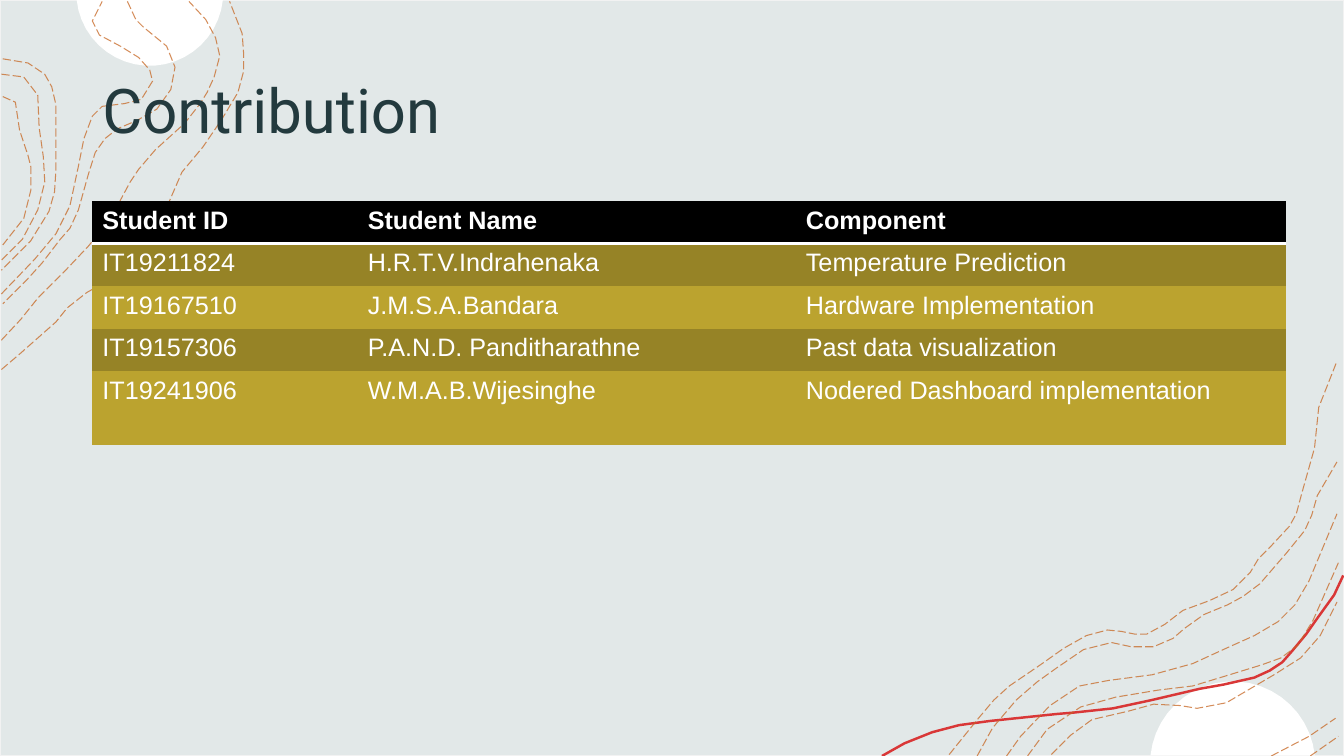
import math

import lxml.etree
import pptx
import pptx.dml.color
import pptx.enum.dml
import pptx.enum.shapes
import pptx.enum.text
import pptx.oxml
import pptx.oxml.ns
import pptx.util

Pt = pptx.util.Pt
qn = pptx.oxml.ns.qn

WIDTH, HEIGHT = 960, 540
WHITE, SAND, RED, DARK = "FFFFFF", "C76825", "D93737", "233A3E"
NO_STYLE = "{2D5ABB26-0587-4C30-8999-92F81FD0307C}"

LEFT_CONTOURS = [
    [(1, 264), (14, 253), (40, 230), (48, 220), (62, 209), (80, 199), (91, 194), (102, 183),
     (115, 161), (120, 146), (130, 123), (145, 105), (158, 86), (170, 66), (174, 51),
     (174, 38), (173, 24), (164, 1)],
    [(1, 243), (15, 228), (27, 213), (46, 194), (63, 176), (78, 158), (93, 130), (99, 121),
     (111, 107), (132, 88), (143, 74), (148, 66), (153, 55), (157, 40), (154, 27),
     (147, 14), (135, 1)],
    [(91, 1), (97, 14), (102, 19), (119, 33), (125, 48), (122, 64), (112, 78), (98, 86),
     (84, 92), (75, 99), (68, 109), (63, 125), (56, 150), (50, 163), (43, 171),
     (30, 188), (20, 199), (2, 217)],
    [(1, 210), (25, 185), (40, 167), (50, 147), (56, 119), (60, 99), (66, 83), (73, 76),
     (89, 74), (101, 71), (109, 58), (107, 50), (99, 41), (86, 33), (71, 25), (66, 15), (73, 1)],
    [(2, 42), (20, 45), (32, 53), (37, 62), (40, 75), (40, 121), (39, 137),
     (35, 151), (22, 172), (1, 193)],
    [(1, 53), (17, 55), (27, 68), (28, 91), (31, 112), (32, 130), (27, 150), (16, 171), (1, 186)],
    [(2, 69), (11, 73), (14, 93), (20, 111), (22, 119), (22, 136), (17, 156), (2, 175)],
]
RIGHT_CONTOURS = [
    [(78, 299), (99, 273), (110, 260), (121, 250), (143, 235), (160, 223), (176, 214),
     (191, 210), (201, 211), (211, 213), (219, 213), (232, 206), (245, 196),
     (264, 189), (281, 181), (293, 169), (299, 159), (308, 150),
     (321, 136), (326, 127), (330, 112), (339, 80), (342, 51), (355, 18)],
    [(98, 300), (109, 280), (126, 260), (141, 247), (155, 237), (174, 224),
     (194, 219), (208, 222), (224, 222), (238, 216), (246, 209), (260, 199),
     (277, 192), (288, 186), (300, 177), (319, 155), (332, 139),
     (337, 128), (341, 114), (355, 90)],
    [(336, 300), (356, 286)],
    [(308, 300), (335, 286), (354, 273)],
    [(151, 299), (165, 285), (180, 274), (206, 268), (224, 263), (243, 264), (255, 266),
     (276, 262), (310, 242), (329, 230), (343, 214), (355, 190)],
    [(134, 300), (148, 281), (172, 265), (197, 258), (227, 253), (252, 250), (275, 243),
     (301, 235), (315, 230), (327, 221), (338, 203), (356, 162)],
    [(119, 300), (129, 286), (150, 264), (171, 250), (192, 246), (223, 242),
     (252, 234), (276, 223), (296, 214), (313, 204), (325, 192), (335, 175), (355, 127)],
]
RED_STROKE = [(30, 300), (46, 291), (66, 283), (85, 278), (107, 275), (155, 270), (167, 269),
              (195, 266), (223, 260), (257, 252), (274, 249), (296, 244), (307, 239), (316, 233),
              (323, 225), (333, 213), (340, 203), (353, 185), (359.5, 171)]

CONTRIBUTIONS = [
    ("Student ID", "Student Name", "Component"),
    ("IT19211824", "H.R.T.V.Indrahenaka", "Temperature Prediction"),
    ("IT19167510", "J.M.S.A.Bandara", "Hardware Implementation"),
    ("IT19157306", "P.A.N.D. Panditharathne", "Past data visualization"),
    ("IT19241906", "W.M.A.B.Wijesinghe", "Nodered Dashboard implementation"),
]


def rgb(color):
    return pptx.dml.color.RGBColor.from_string(color)


def set_fill(obj, color):
    obj.fill.solid()
    obj.fill.fore_color.rgb = rgb(color)


def set_line(sp, color, width):
    sp.line.color.rgb = rgb(color)
    sp.line.width = Pt(width)


def add_outline(s, x, y, points, close):
    pts = [(Pt(x + px), Pt(y + py)) for px, py in points]
    builder = s.shapes.build_freeform(*pts[0], scale=1.0)
    builder.add_line_segments(pts[1:], close=close)
    sp = builder.convert_to_shape()
    sp.shadow.inherit = False
    return sp


def add_stroke(s, x, y, points, color, width):
    sp = add_outline(s, x, y, points, False)
    sp.fill.background()
    set_line(sp, color, width)
    return sp


def add_contours(s, x, y, contours):
    for points in contours:
        sp = add_stroke(s, x, y, points, SAND, 0.75)
        sp.line.dash_style = pptx.enum.dml.MSO_LINE.LONG_DASH
        clr = sp.line._ln.find(".//" + qn("a:srgbClr"))
        lxml.etree.SubElement(clr, qn("a:alpha"), val="75000")


def add_cap(s, x, y, radius, direction):
    """Draw a white disc cut by the slide edge at y; direction 1 hangs down, -1 rises."""
    cut = 6
    angles = [math.radians(a) for a in range(cut, 181 - cut, 8)]
    rim = math.sin(math.radians(cut))
    points = [(radius * math.cos(a), direction * radius * (math.sin(a) - rim)) for a in angles]
    sp = add_outline(s, x, y, points, True)
    set_fill(sp, WHITE)
    sp.line.fill.background()


def add_backdrop(s, x, y, w, h):
    sp = s.shapes.add_shape(pptx.enum.shapes.MSO_SHAPE.RECTANGLE, Pt(x), Pt(y), Pt(w), Pt(h))
    sp.shadow.inherit = False
    set_fill(sp, "E2E8E8")
    set_line(sp, "F2F2F2", 1)
    add_cap(s, x + 107, y, 52.5, 1)
    add_cap(s, x + w - 79.5, y + h - 0.5, 59, -1)
    add_stroke(s, x + w - 360, y + h - 300, RED_STROKE, RED, 1.75)
    add_contours(s, x, y, LEFT_CONTOURS)
    add_contours(s, x + w - 360, y + h - 300, RIGHT_CONTOURS)


def format_run(r, font, size, color, bold=False):
    r.font.name = font
    r.font.size = Pt(size)
    r.font.bold = bold
    r.font.color.rgb = rgb(color)


def add_title(s, x, y, w, h):
    tf = s.shapes.add_textbox(Pt(x), Pt(y), Pt(w), Pt(h)).text_frame
    tf.word_wrap = True
    tf.vertical_anchor = pptx.enum.text.MSO_ANCHOR.MIDDLE
    tf.text = "Contribution"
    p = tf.paragraphs[0]
    p.line_spacing = 0.9
    format_run(p.runs[0], "Roboto", 44, DARK)


def add_bottom_border(cell, color, width):
    tcPr = cell._tc.get_or_add_tcPr()
    ln = pptx.oxml.parse_xml(
        f'<a:lnB {pptx.oxml.ns.nsdecls("a")} w="{Pt(width)}"><a:solidFill>'
        f'<a:srgbClr val="{color}"/></a:solidFill></a:lnB>')
    tcPr.insert(0, ln)


def add_contribution_table(s, x, y, w, h):
    rows, cols = len(CONTRIBUTIONS), len(CONTRIBUTIONS[0])
    table = s.shapes.add_table(rows, cols, Pt(x), Pt(y), Pt(w), Pt(h)).table
    table._tbl.tblPr.find(qn("a:tableStyleId")).text = NO_STYLE
    row_height = 30.4
    for col, width in zip(table.columns, (189.5, 313, w - 502.5)):
        col.width = Pt(width)
    for row in table.rows:
        row.height = Pt(row_height)
    table.rows[rows - 1].height = Pt(h - row_height * (rows - 1))
    for i, texts in enumerate(CONTRIBUTIONS):
        header = i == 0
        fill = "000000" if header else ("BBA32F", "968326")[i % 2]
        for j, text in enumerate(texts):
            cell = table.cell(i, j)
            cell.text_frame.text = text
            format_run(cell.text_frame.paragraphs[0].runs[0], "Arial", 18, WHITE, header)
            set_fill(cell, fill)
            if header:
                add_bottom_border(cell, WHITE, 2)


def main():
    prs = pptx.Presentation()
    prs.slide_width, prs.slide_height = Pt(WIDTH), Pt(HEIGHT)
    s = prs.slides.add_slide(prs.slide_layouts[6])
    add_backdrop(s, 0, 0, WIDTH, HEIGHT)
    add_title(s, 66, 28.75, 828, 104.4)
    add_contribution_table(s, 66, 143.7, 852.5, 174.4)
    prs.save("out.pptx")


if __name__ == "__main__":
    main()
